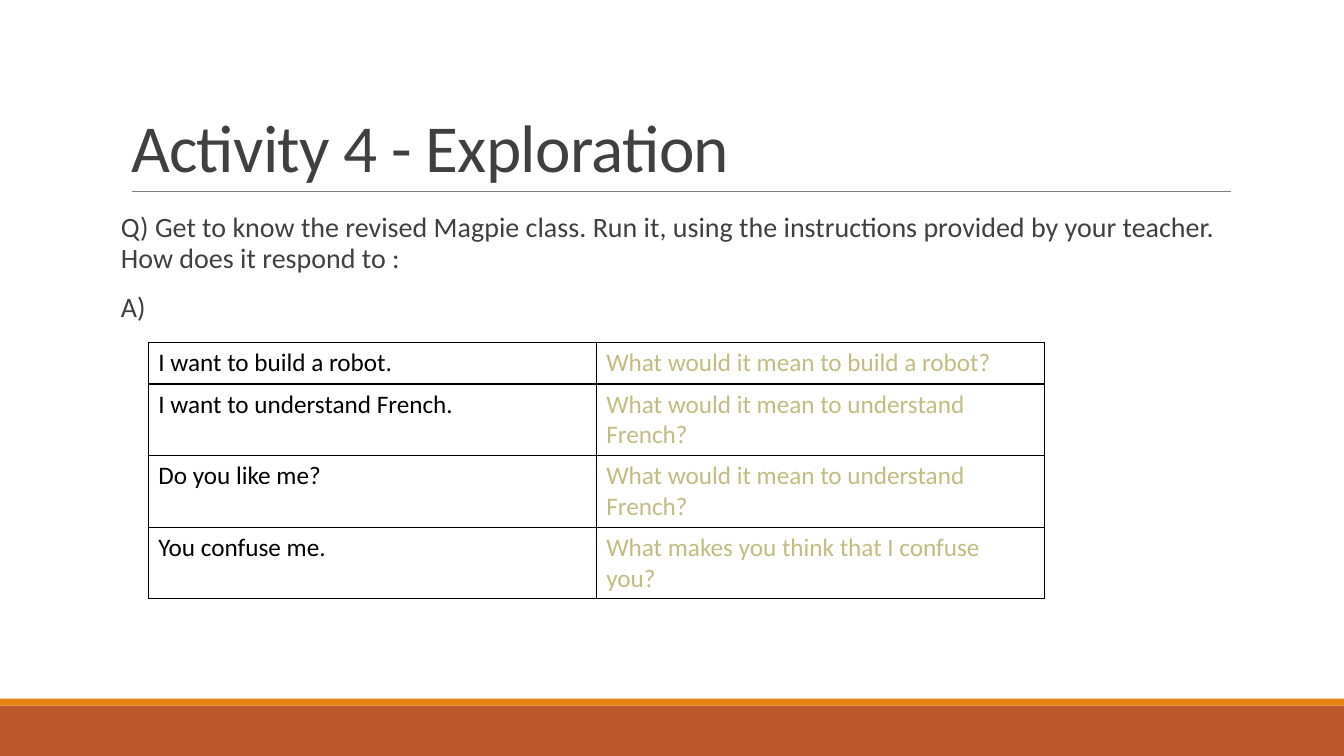
"""Build the Activity 4 exploration slide: question, answer table and footer bands."""
from dataclasses import dataclass
from typing import Any

from lxml import etree
from pptx import Presentation
from pptx import util as u
from pptx.dml.color import RGBColor
from pptx.enum import shapes, text
from pptx.oxml.ns import qn

RUST = RGBColor(0xBD, 0x58, 0x2C)
ORANGE = RGBColor(0xE4, 0x83, 0x12)
RULE_GREY = RGBColor(0x80, 0x80, 0x80)
TEXT_GREY = RGBColor(0x40, 0x40, 0x40)
BLACK = RGBColor(0x00, 0x00, 0x00)
KHAKI = RGBColor(0xC2, 0xBC, 0x80)

SLIDE_W, SLIDE_H = u.Inches(13.333), u.Inches(7.5)
FONT = "Calibri"


@dataclass(frozen=True)
class Box:
    """Place on a grid of 100 columns by 100 rows."""
    col: float
    row: float
    cols: float
    rows: float

    def emu(self) -> dict[str, int]:
        """Return the place as shape attributes."""
        return {"left": across(self.col), "top": down(self.row),
                "width": across(self.cols), "height": down(self.rows)}


@dataclass(frozen=True)
class Band:
    """Coloured footer band."""
    box: Box
    color: RGBColor


@dataclass(frozen=True)
class Exchange:
    """Statement typed by the user and the reply it gets."""
    statement: str
    reply: str


BANDS = (Band(Box(0, 93.33, 100, 6.67), RUST), Band(Box(0, 92.4, 100, 0.93), ORANGE))
TITLE_BOX = Box(9, 4.13, 82.5, 21.2)
BODY_BOX = Box(9, 27.6, 82.5, 58.67)
TABLE_BOX = Box(11.03, 45.33, 66.67, 21.87)
RULE_ROW, RULE_START, RULE_END = 25.33, 9.83, 91.57

TITLE = "Activity 4 - Exploration"
QUESTION = (
    "Q) Get to know the revised Magpie class. Run it, using the instructions "
    "provided by your teacher. How does it respond to :",
    "A)",
)
EXCHANGES = (
    Exchange("I want to build a robot.", "What would it mean to build a robot?"),
    Exchange("I want to understand French.", "What would it mean to understand French?"),
    Exchange("Do you like me?", "What would it mean to understand French?"),
    Exchange("You confuse me.", "What makes you think that I confuse you?"),
)

TITLE_FRAME = {"vertical_anchor": text.MSO_ANCHOR.BOTTOM, "word_wrap": True,
               "auto_size": text.MSO_AUTO_SIZE.NONE}
BODY_FRAME = {"vertical_anchor": text.MSO_ANCHOR.TOP, "word_wrap": True,
              "auto_size": text.MSO_AUTO_SIZE.NONE, "margin_left": 0, "margin_right": 0}
TITLE_PARA = {"alignment": text.PP_ALIGN.LEFT, "line_spacing": 0.85}
BODY_PARA = {"alignment": text.PP_ALIGN.LEFT, "line_spacing": 0.9,
             "space_before": u.Pt(12), "space_after": u.Pt(2)}


def across(share: float) -> int:
    """Turn grid columns into a length."""
    return round(SLIDE_W * share / 100)


def down(share: float) -> int:
    """Turn grid rows into a length."""
    return round(SLIDE_H * share / 100)


def apply(obj: Any, values: dict[str, Any]) -> None:
    """Set each attribute named in the dict."""
    for name, value in values.items():
        setattr(obj, name, value)


def write(p: Any, words: str, size: float, color: RGBColor) -> Any:
    """Add one formatted run to a paragraph."""
    r = p.add_run()
    r.text = words
    apply(r.font, {"name": FONT, "size": u.Pt(size), "bold": False})
    r.font.color.rgb = color
    return r


def add_band(slide: Any, band: Band) -> None:
    """Draw one footer band."""
    sp = slide.shapes.add_shape(shapes.MSO_SHAPE.RECTANGLE, **band.box.emu())
    sp.shadow.inherit = False
    sp.fill.solid()
    sp.fill.fore_color.rgb = band.color
    sp.line.fill.background()


def add_rule(slide: Any) -> None:
    """Draw the thin line under the title."""
    line = slide.shapes.add_connector(
        shapes.MSO_CONNECTOR.STRAIGHT, across(RULE_START), down(RULE_ROW),
        across(RULE_END), down(RULE_ROW))
    line.line.color.rgb = RULE_GREY
    line.line.width = u.Pt(0.5)
    etree.SubElement(line._element.spPr, qn("a:effectLst"))


def fill_title(sp: Any) -> None:
    """Place and write the title."""
    apply(sp, TITLE_BOX.emu())
    apply(sp.text_frame, TITLE_FRAME)
    p = sp.text_frame.paragraphs[0]
    apply(p, TITLE_PARA)
    write(p, TITLE, 48, TEXT_GREY).font._element.set("spc", "-50")


def fill_body(sp: Any) -> None:
    """Place and write the question without bullets."""
    apply(sp, BODY_BOX.emu())
    tf = sp.text_frame
    apply(tf, BODY_FRAME)
    for i, words in enumerate(QUESTION):
        p = tf.add_paragraph() if i else tf.paragraphs[0]
        apply(p, BODY_PARA)
        pPr = p._p.get_or_add_pPr()
        pPr.set("marL", "0")
        pPr.set("indent", "0")
        etree.SubElement(pPr, qn("a:buNone"))
        write(p, words, 20, TEXT_GREY)


def add_borders(cell: Any) -> None:
    """Give a cell a black border on each side."""
    tcPr = cell._tc.get_or_add_tcPr()
    for side in ("lnL", "lnR", "lnT", "lnB"):
        ln = etree.SubElement(tcPr, qn(f"a:{side}"), w=str(u.Pt(1)))
        fill = etree.SubElement(ln, qn("a:solidFill"))
        etree.SubElement(fill, qn("a:srgbClr"), val=str(BLACK))


def add_exchanges(slide: Any) -> None:
    """Draw the table of statements and replies."""
    table = slide.shapes.add_table(len(EXCHANGES), 2, **TABLE_BOX.emu()).table
    apply(table, {"first_row": False, "horz_banding": False})
    for row, exchange in zip(table.rows, EXCHANGES):
        row.height = down(TABLE_BOX.rows / len(EXCHANGES))
        entries = ((exchange.statement, BLACK), (exchange.reply, KHAKI))
        for cell, (words, color) in zip(row.cells, entries):
            add_borders(cell)
            cell.fill.background()
            write(cell.text_frame.paragraphs[0], words, 18, color)


def main() -> None:
    """Build and save the slide."""
    prs = Presentation()
    apply(prs, {"slide_width": SLIDE_W, "slide_height": SLIDE_H})
    slide = prs.slides.add_slide(prs.slide_layouts[1])
    for band in BANDS:
        add_band(slide, band)
    add_rule(slide)
    fill_title(slide.shapes.title)
    fill_body(slide.placeholders[1])
    add_exchanges(slide)
    prs.save("out.pptx")


if __name__ == "__main__":
    main()
